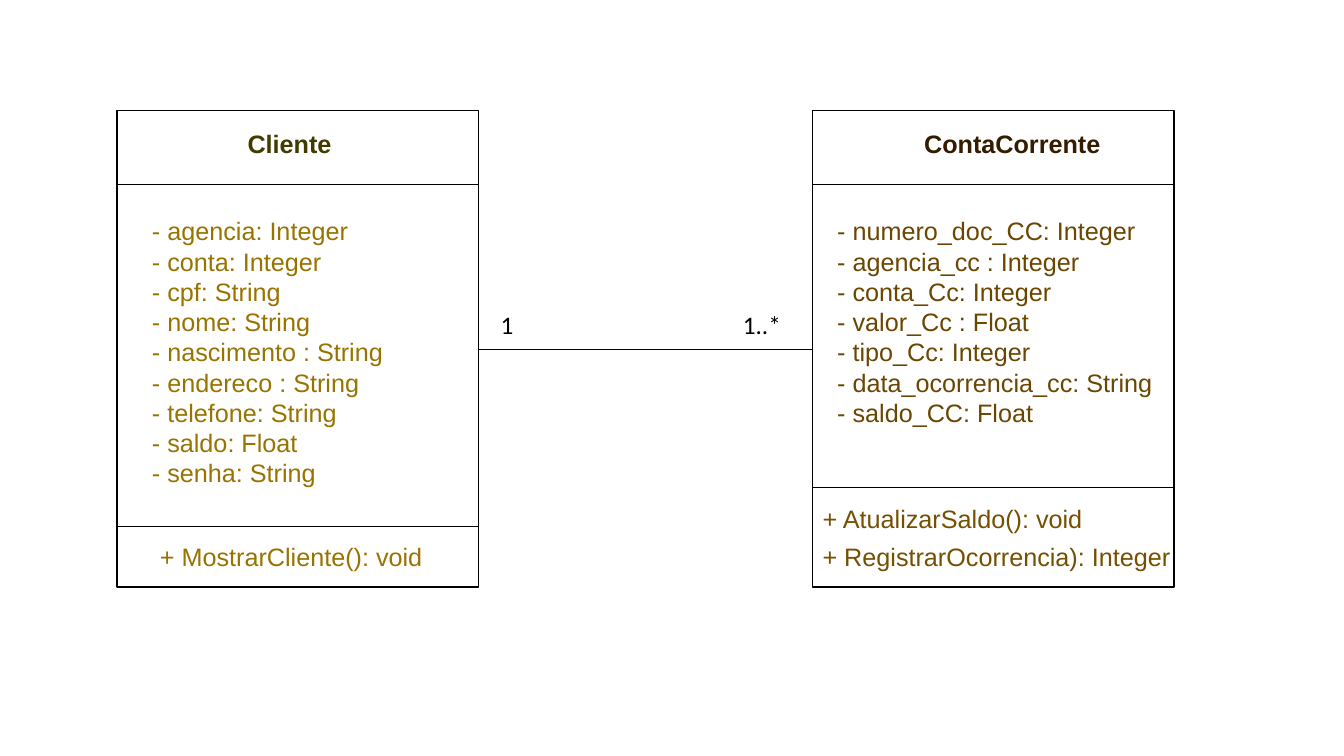
from pptx import Presentation
from pptx.dml.color import RGBColor
from pptx.enum.shapes import MSO_CONNECTOR as Connector, MSO_SHAPE as Preset
from pptx.enum.text import MSO_AUTO_SIZE as AutoSize
from pptx.oxml.ns import qn
from pptx.util import Cm, Pt
from lxml.etree import SubElement

BOX_TOP, BOX_WIDTH, BOX_HEIGHT, HEADER_HEIGHT = 2.79, 9.11, 12, 1.86
CLIENT_LEFT, ACCOUNT_LEFT = 2.95, 20.48
NAME_TOP, ATTRIBUTES_TOP, ASSOCIATION_TOP, LABEL_TOP = 3.1, 5.31, 8.81, 7.67
LINE_HEIGHT = 1.02


def color(value):
    return RGBColor.from_string(value)


class Diagram:
    font = "Arial"
    size = 18
    ink = "000000"

    def __init__(self, slide):
        self.slide = slide

    def line(self, shapes, start, end, width):
        connector = shapes.add_connector(Connector.STRAIGHT, *map(Cm, start + end))
        connector.line.color.rgb = color(self.ink)
        connector.line.width = Pt(width)
        SubElement(connector._element.spPr, qn("a:effectLst"))

    def class_box(self, left, operations_top):
        shapes = self.slide.shapes.add_group_shape().shapes
        frame = shapes.add_shape(
            Preset.RECTANGLE, Cm(left), Cm(BOX_TOP), Cm(BOX_WIDTH), Cm(BOX_HEIGHT))
        frame.shadow.inherit = False
        frame.fill.background()
        frame.line.color.rgb = color(self.ink)
        frame.line.width = Pt(1)
        for top in (BOX_TOP + HEADER_HEIGHT, operations_top):
            self.line(shapes, (left, top), (left + BOX_WIDTH, top), 0.5)

    def text(self, place, lines, ink, bold=False, font=font, wrap=True, space_after=0):
        frame = self.slide.shapes.add_textbox(*map(Cm, place)).text_frame
        frame.word_wrap = wrap
        frame.auto_size = AutoSize.SHAPE_TO_FIT_TEXT
        for index, line in enumerate(lines):
            paragraph = frame.add_paragraph() if index else frame.paragraphs[0]
            paragraph.space_after = Pt(space_after)
            run = paragraph.add_run()
            run.text = line
            run.font.name = font
            run.font.size = Pt(self.size)
            run.font.bold = bold
            run.font.color.rgb = color(ink)


presentation = Presentation()
presentation.slide_width, presentation.slide_height = Cm(33.87), Cm(19.05)
diagram = Diagram(presentation.slides.add_slide(presentation.slide_layouts[6]))

diagram.class_box(CLIENT_LEFT, 13.26)
diagram.class_box(ACCOUNT_LEFT, 12.29)

diagram.text((5.99, NAME_TOP, 2.97, LINE_HEIGHT), ["Cliente"], "413B00", bold=True)
diagram.text((23.04, NAME_TOP, 5.38, LINE_HEIGHT), ["ContaCorrente"], "341C00", bold=True)

client_attributes = [
    "- agencia: Integer",
    "- conta: Integer",
    "- cpf: String",
    "- nome: String",
    "- nascimento : String",
    "- endereco : String",
    "- telefone: String",
    "- saldo: Float",
    "- senha: String",
]
account_attributes = [
    "- numero_doc_CC: Integer",
    "- agencia_cc : Integer",
    "- conta_Cc: Integer",
    "- valor_Cc : Float",
    "- tipo_Cc: Integer",
    "- data_ocorrencia_cc: String",
    "- saldo_CC: Float",
]
account_operations = ["+ AtualizarSaldo(): void", "+ RegistrarOcorrencia): Integer"]

diagram.text((3.58, ATTRIBUTES_TOP, 16.92, 7.19), client_attributes, "997300")
diagram.text((3.78, 13.51, 7.39, LINE_HEIGHT), ["+ MostrarCliente(): void"], "997300", space_after=5)
diagram.text((20.85, ATTRIBUTES_TOP, 9.12, 5.64), account_attributes, "6B4600")
diagram.text((20.48, 12.57, 9.45, 1.98), account_operations, "745000", space_after=5)

diagram.line(diagram.slide.shapes, (CLIENT_LEFT + BOX_WIDTH, ASSOCIATION_TOP),
             (ACCOUNT_LEFT, ASSOCIATION_TOP), 1)
for left, width, multiplicity in ((12.37, 0.84, "1"), (18.47, 1.47, "1..*")):
    diagram.text((left, LABEL_TOP, width, LINE_HEIGHT), [multiplicity], diagram.ink,
                 font="Calibri", wrap=False)

presentation.save("out.pptx")
